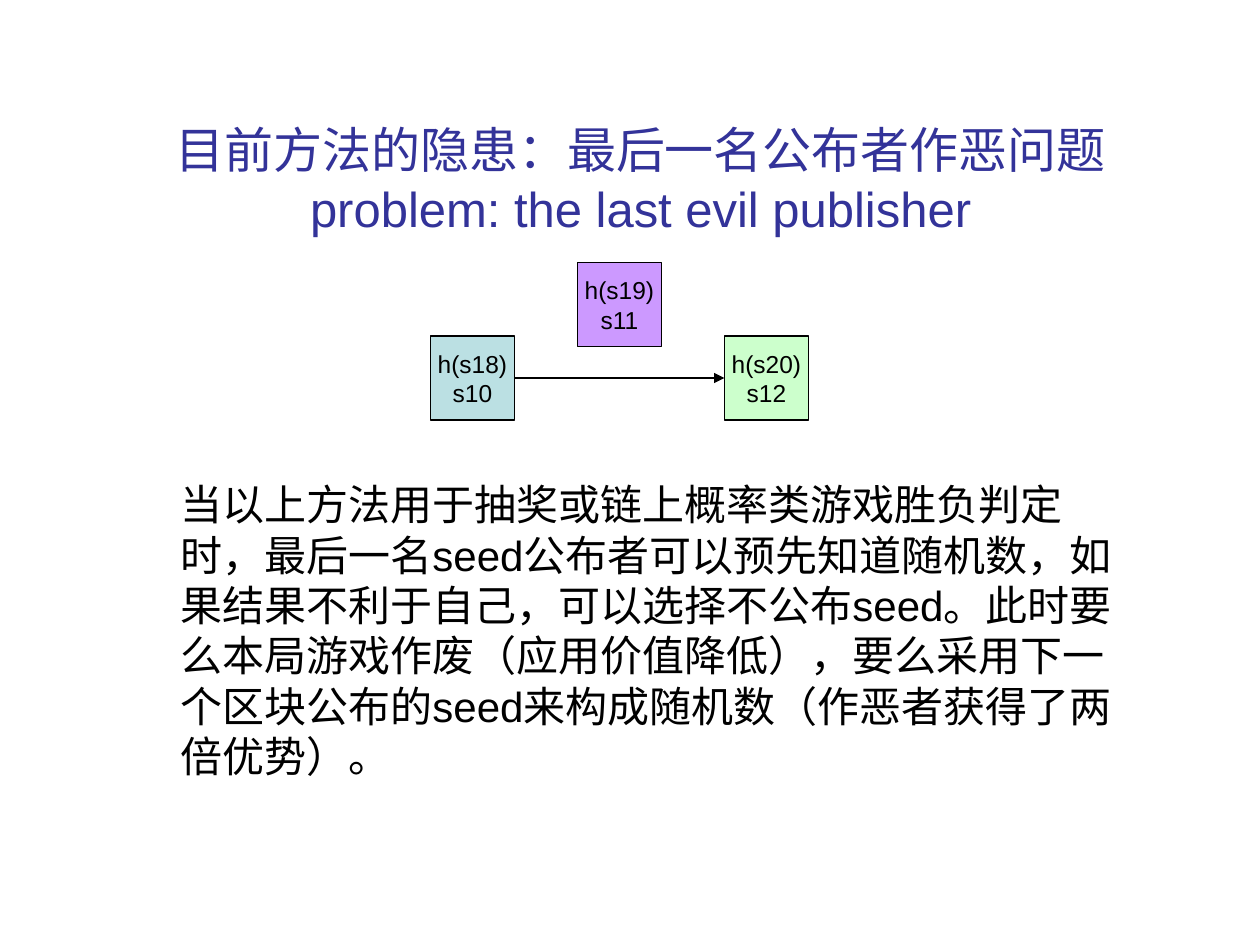
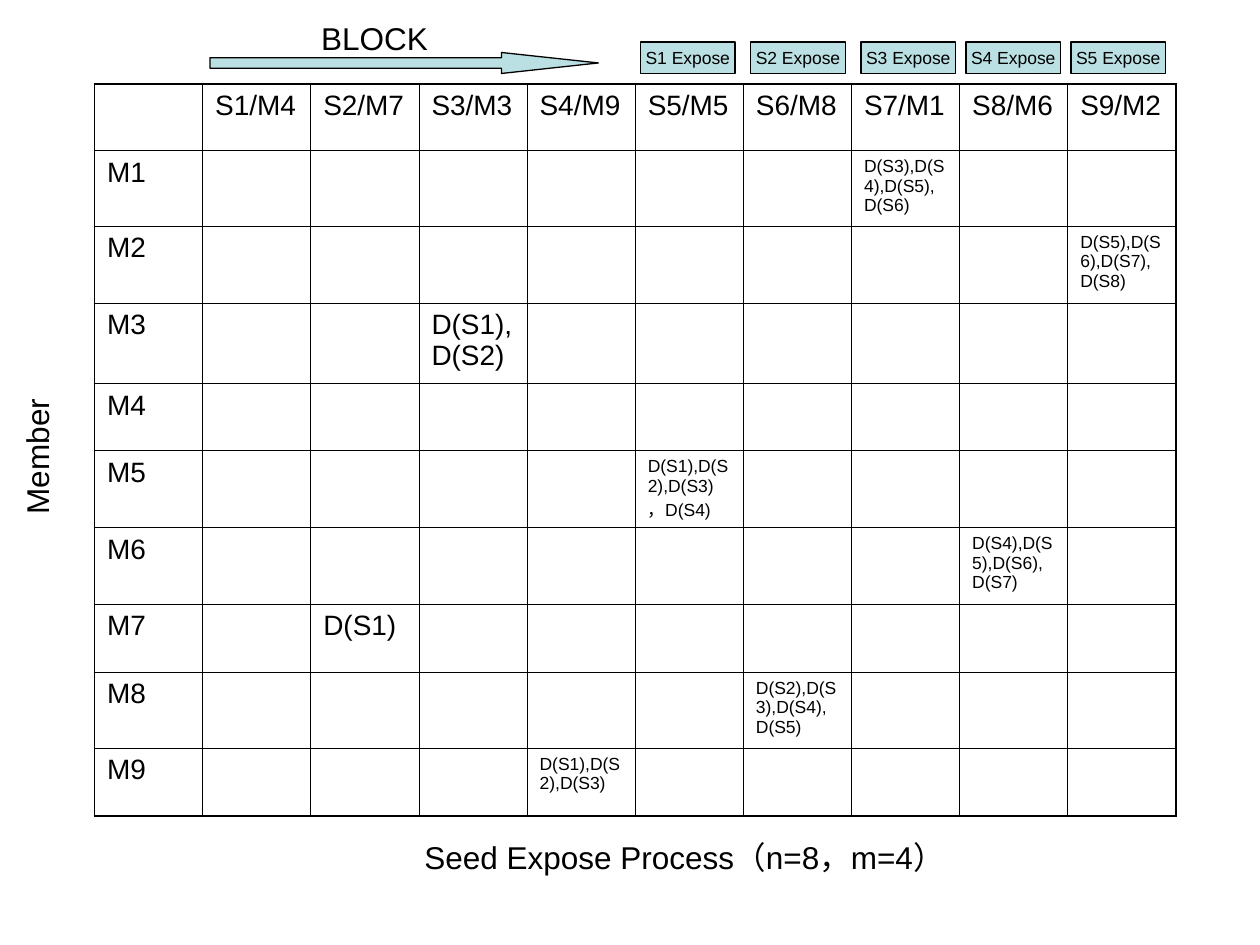
import lxml.etree
import pptx
import pptx.dml.color
import pptx.enum.shapes
import pptx.enum.text
import pptx.oxml.ns
import pptx.util

SHAPES = pptx.enum.shapes.MSO_SHAPE
ALIGN = pptx.enum.text.PP_ALIGN
ANCHOR = pptx.enum.text.MSO_ANCHOR

FONT = "Arial"
INK = "000000"
TITLE_BLUE = "333399"
PALE_BLUE = "BBE0E3"
VIOLET = "CC99FF"
PALE_GREEN = "CCFFCC"

# Each slide is a grid of 120 columns by 90 rows.
COLUMNS, ROWS = 120, 90
UNIT = pptx.util.Inches(10) / COLUMNS

# Member: (block that the member publishes, seeds that the member decrypts)
MEMBERS = {
    "M1": (7, "D(S3),D(S4),D(S5), D(S6)"),
    "M2": (9, "D(S5),D(S6),D(S7), D(S8)"),
    "M3": (3, "D(S1),D(S2)"),
    "M4": (1, ""),
    "M5": (5, "D(S1),D(S2),D(S3)，D(S4)"),
    "M6": (8, "D(S4),D(S5),D(S6), D(S7)"),
    "M7": (2, "D(S1)"),
    "M8": (6, "D(S2),D(S3),D(S4), D(S5)"),
    "M9": (4, "D(S1),D(S2),D(S3)"),
}
LONG_TEXT = 12


def grid(*counts):
    """Turn counts of columns or rows into lengths."""
    return [pptx.util.Emu(round(count * UNIT)) for count in counts]


def colour(value):
    return pptx.dml.color.RGBColor.from_string(value)


def add_span(para, text, size, ink=INK):
    span = para.add_run()
    span.text = text
    span.font.size = pptx.util.Pt(size)
    span.font.name = FONT
    span.font.color.rgb = colour(ink)


def write_paragraphs(frame, lines, size, align):
    """Write one paragraph a line, with punctuation kept inside the margin."""
    for number, line in enumerate(lines):
        para = frame.add_paragraph() if number else frame.paragraphs[0]
        para.alignment = align
        para._p.get_or_add_pPr().set("hangingPunct", "0")
        add_span(para, line, size)


def add_text(page, place, text, size, wrap=False, align=ALIGN.LEFT):
    box = page.shapes.add_textbox(*grid(*place))
    box.text_frame.word_wrap = wrap
    box.text_frame.auto_size = pptx.enum.text.MSO_AUTO_SIZE.SHAPE_TO_FIT_TEXT
    write_paragraphs(box.text_frame, [text], size, align)
    return box


def add_title(page, place, lines):
    frame = page.shapes.add_textbox(*grid(*place)).text_frame
    frame.word_wrap = True
    frame.vertical_anchor = ANCHOR.MIDDLE
    para = frame.paragraphs[0]
    para.alignment = ALIGN.CENTER
    for number, line in enumerate(lines):
        if number:
            para.add_line_break()
        add_span(para, line, 28, TITLE_BLUE)


def add_outlined(page, kind, place, fill):
    shape = page.shapes.add_shape(kind, *grid(*place))
    shape.shadow.inherit = False
    shape.fill.solid()
    shape.fill.fore_color.rgb = colour(fill)
    shape.line.color.rgb = colour(INK)
    shape.line.width = pptx.util.Pt(0.75)
    return shape


def add_label_box(page, place, fill, lines, size):
    frame = add_outlined(page, SHAPES.RECTANGLE, place, fill).text_frame
    frame.word_wrap = False
    frame.vertical_anchor = ANCHOR.MIDDLE
    write_paragraphs(frame, lines, size, ALIGN.CENTER)


def add_arrow(page, start, end):
    arrow = page.shapes.add_connector(
        pptx.enum.shapes.MSO_CONNECTOR.STRAIGHT, *grid(*start, *end))
    arrow.line.color.rgb = colour(INK)
    arrow.line.width = pptx.util.Pt(0.75)
    line = arrow.line._get_or_add_ln()
    lxml.etree.SubElement(line, pptx.oxml.ns.qn("a:tailEnd"), type="triangle")
    lxml.etree.SubElement(arrow._element.spPr, pptx.oxml.ns.qn("a:effectLst"))


def set_borders(cell, outer):
    """Draw the four edges; those named in outer are heavier."""
    properties = cell._tc.get_or_add_tcPr()
    for edge in "LRTB":
        width = pptx.util.Pt(1.08 if edge in outer else 0.45)
        line = lxml.etree.SubElement(
            properties, pptx.oxml.ns.qn("a:ln" + edge), w=str(width))
        fill = lxml.etree.SubElement(line, pptx.oxml.ns.qn("a:solidFill"))
        lxml.etree.SubElement(fill, pptx.oxml.ns.qn("a:srgbClr"), val=INK)


def fill_cell(cell, text):
    if not text:
        return
    size = 10 if len(text) > LONG_TEXT else 16
    para = cell.text_frame.paragraphs[0]
    para.space_before = pptx.util.Pt(size / 4)
    add_span(para, text, size)


def seed_rows():
    publishers = {block: member for member, (block, _) in MEMBERS.items()}
    rows = [[""] + [f"S{block}/{publishers[block]}" for block in sorted(publishers)]]
    for member, (block, seeds) in MEMBERS.items():
        rows.append([member] + [seeds if column == block else ""
                                for column in sorted(publishers)])
    return rows


def add_seed_table(page, place, heights):
    rows = seed_rows()
    last_row, last_column = len(rows) - 1, len(rows[0]) - 1
    table = page.shapes.add_table(len(rows), len(rows[0]), *grid(*place)).table
    table.first_row = table.horz_banding = False
    for row, height in zip(table.rows, heights):
        row.height = pptx.util.Inches(height)
    for column in table.columns:
        column.width = grid(place[2] / len(rows[0]))[0]
    for down, row in enumerate(rows):
        for across, text in enumerate(row):
            cell = table.cell(down, across)
            outer = (("T" if down == 0 else "") + ("B" if down == last_row else "")
                     + ("L" if across == 0 else "")
                     + ("R" if across == last_column else ""))
            set_borders(cell, outer)
            cell.fill.background()
            fill_cell(cell, text)


def build_problem_page(page):
    add_title(page, (12, 8, 98, 18), ["目前方法的隐患：最后一名公布者作恶问题",
                                      "problem: the last evil publisher"])
    add_text(page, (16, 45, 92, 30),
             "当以上方法用于抽奖或链上概率类游戏胜负判定时，最后一名seed公布者可以预先知道随机数，"
             "如果结果不利于自己，可以选择不公布seed。此时要么本局游戏作废（应用价值降低），"
             "要么采用下一个区块公布的seed来构成随机数（作恶者获得了两倍优势）。", 24, wrap=True)
    blocks = [(32, PALE_BLUE), (25, VIOLET), (32, PALE_GREEN)]
    for number, (top, fill) in enumerate(blocks):
        add_label_box(page, (41 + 14 * number, top, 8, 8), fill,
                      [f"h(s{18 + number})", f"s{10 + number}"], 14)
    add_arrow(page, (49, 36), (69, 36))


def build_process_page(page):
    add_seed_table(page, (9, 8, 103, 69.6),
                   [0.53, 0.6, 0.61, 0.64, 0.53, 0.6, 0.61, 0.54, 0.6, 0.54])
    add_text(page, (39.25, 79.2, 55.4, 4.8), "Seed Expose Process（n=8，m=4）", 18)
    for number, left in enumerate([61, 71.5, 82, 92, 102], start=1):
        add_label_box(page, (left, 4, 9, 3), PALE_BLUE, [f"S{number} Expose"], 10)
    arrow = add_outlined(page, SHAPES.RIGHT_ARROW, (20, 5, 37, 2), PALE_BLUE)
    arrow.adjustments[0] = 0.5
    arrow.adjustments[1] = 4.62
    add_text(page, (29.4, 1.2, 12.6, 4.8), "BLOCK", 18)
    member = add_text(page, (1.1, 37.4, 6, 12.2), "Member", 18, align=ALIGN.CENTER)
    member.text_frame._txBody.bodyPr.set("vert", "vert270")


def main():
    deck = pptx.Presentation()
    deck.slide_width, deck.slide_height = grid(COLUMNS, ROWS)
    blank = deck.slide_layouts[6]
    build_problem_page(deck.slides.add_slide(blank))
    build_process_page(deck.slides.add_slide(blank))
    deck.save("out.pptx")


if __name__ == "__main__":
    main()
